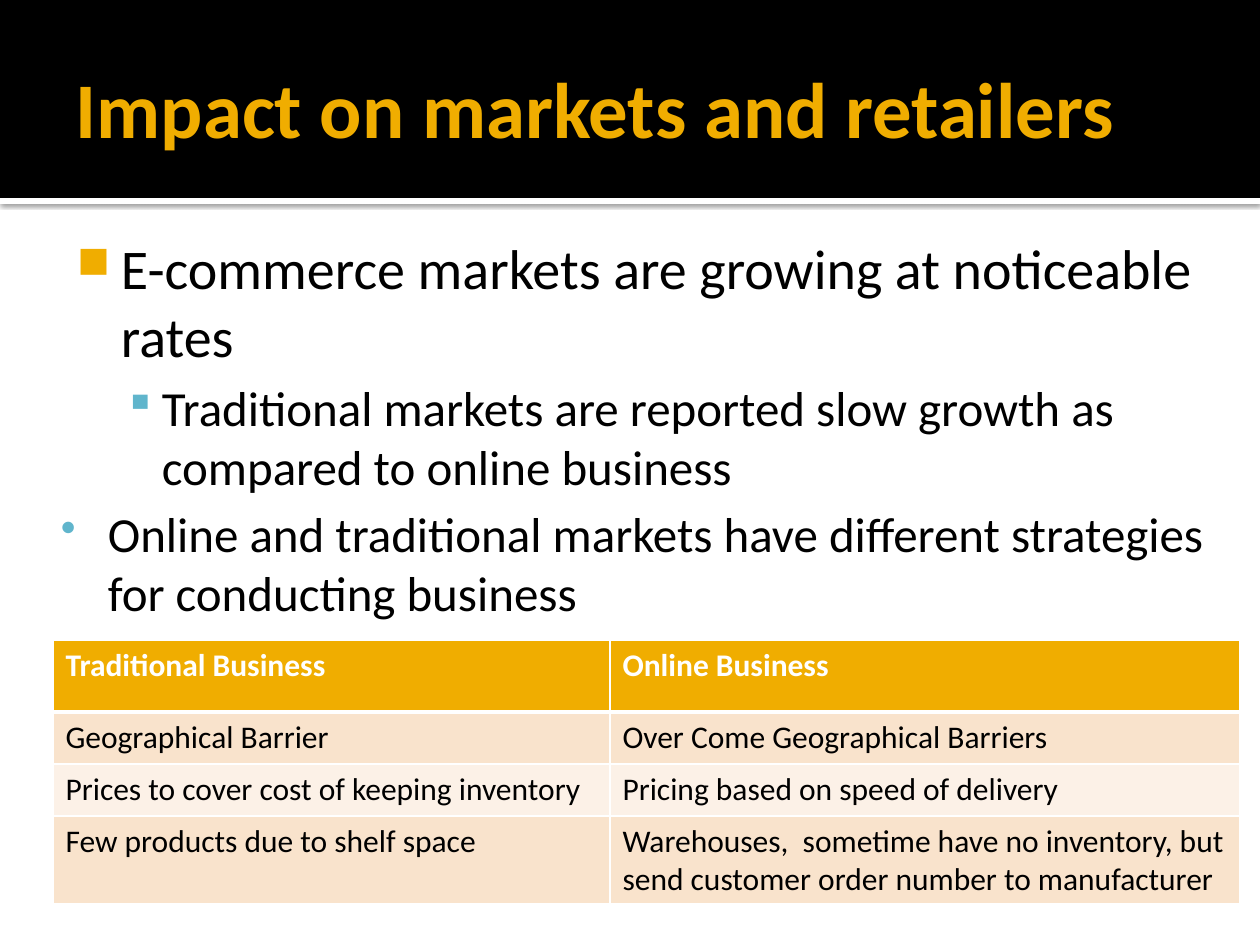
from dataclasses import dataclass
from typing import NamedTuple

from lxml import etree
from pptx import Presentation
from pptx.dml.color import RGBColor
from pptx.enum.shapes import MSO_SHAPE
from pptx.enum.text import MSO_ANCHOR
from pptx.oxml.ns import qn
from pptx.util import Emu, Pt

RECTANGLE = MSO_SHAPE.RECTANGLE
MIDDLE = MSO_ANCHOR.MIDDLE
TOP = MSO_ANCHOR.TOP
EMU_PER_PX = 914400 / 126
BLANK_LAYOUT = 6


@dataclass(frozen=True)
class Theme:
    font: str = "Calibri"
    black: str = "000000"
    white: str = "FFFFFF"
    gold: str = "F0AD00"
    blue: str = "60B5CC"
    band_dark: str = "F9E3CC"
    band_light: str = "FCF1E7"
    title_size: int = 45
    point_size: int = 32
    subpoint_size: int = 28
    table_size: int = 18


THEME = Theme()


class Box(NamedTuple):
    left: int
    top: int
    width: int
    height: int


class Insets(NamedTuple):
    left: int
    top: int
    right: int
    bottom: int


@dataclass(frozen=True)
class Bullet:
    character: str
    color: str
    percent: int
    margin: int
    hanging: int


@dataclass(frozen=True)
class Line:
    text: str
    size: int
    color: str = THEME.black
    bold: bool = False
    level: int = 0
    space_before: int = 0
    bullet: Bullet | None = None


SLIDE_BOX = Box(0, 0, 1260, 945)
BANNER_BOX = Box(0, 0, 1260, 198)
STRIP_BOX = Box(0, 198, 1260, 6)
TITLE_BOX = Box(63, 21, 1134, 173)
BODY_BOX = Box(53, 221, 1187, 624)
TABLE_BOX = Box(53, 640, 1187, 264)
TITLE_INSETS = Insets(13, 6, 6, 6)
BODY_INSETS = Insets(8, 13, 13, 6)

TITLE = Line("Impact on markets and retailers", THEME.title_size, THEME.gold, True)
BODY = [
    Line("E-commerce markets are growing at noticeable rates", THEME.point_size,
         bullet=Bullet("■", THEME.gold, 80, 60, 44)),
    Line("Traditional markets are reported slow growth as compared to online business",
         THEME.subpoint_size, level=1, space_before=5,
         bullet=Bullet("▪", THEME.blue, 90, 101, 38)),
    Line("Online and traditional markets have different strategies for conducting business",
         THEME.subpoint_size, level=1, space_before=5,
         bullet=Bullet("•", THEME.blue, 90, 47, 47)),
]
COLUMN_WIDTHS = [557, 630]
ROW_HEIGHTS = [72, 52, 52, 88]
ROWS = [
    ("Traditional Business", "Online Business"),
    ("Geographical Barrier", "Over Come Geographical Barriers"),
    ("Prices to cover cost of keeping inventory", "Pricing based on speed of delivery"),
    ("Few products due to shelf space",
     "Warehouses,  sometime have no inventory, but send customer order number to manufacturer"),
]


def px(length: int) -> Emu:
    return Emu(round(length * EMU_PER_PX))


def place(box: Box) -> list[Emu]:
    return [px(length) for length in box]


def add_element(parent, tag: str, **attributes):
    values = {name: str(value) for name, value in attributes.items()}
    return etree.SubElement(parent, qn(tag), values)


def set_all(target, values: dict) -> None:
    for name, value in values.items():
        setattr(target, name, value)


def add_bar(slide, box: Box, color: str):
    shape = slide.shapes.add_shape(RECTANGLE, *place(box))
    shape.shadow.inherit = False
    shape.fill.solid()
    shape.fill.fore_color.rgb = RGBColor.from_string(color)
    shape.line.fill.background()
    return shape


def add_drop_shadow(shape) -> None:
    effects = shape._element.spPr.find(qn("a:effectLst"))
    shadow = add_element(effects, "a:outerShdw", blurRad=Pt(2.5), dist=Pt(0.8),
                         dir=5400000, algn="t", rotWithShape=0)
    color = add_element(shadow, "a:srgbClr", val=THEME.black)
    add_element(color, "a:alpha", val=60000)


def add_bullet(paragraph, bullet: Bullet) -> None:
    properties = paragraph._p.get_or_add_pPr()
    properties.set("marL", str(px(bullet.margin)))
    properties.set("indent", str(px(-bullet.hanging)))
    color = add_element(properties, "a:buClr")
    add_element(color, "a:srgbClr", val=bullet.color)
    add_element(properties, "a:buSzPct", val=bullet.percent * 1000)
    add_element(properties, "a:buChar", char=bullet.character)


def write_line(paragraph, line: Line) -> None:
    paragraph.level = line.level
    if line.bullet:
        add_bullet(paragraph, line.bullet)
    paragraph.space_before = Pt(line.space_before)
    run = paragraph.add_run()
    run.text = line.text
    set_all(run.font, {"name": THEME.font, "size": Pt(line.size), "bold": line.bold})
    run.font.color.rgb = RGBColor.from_string(line.color)


def add_text(slide, box: Box, insets: Insets, anchor, lines: list[Line]) -> None:
    frame = slide.shapes.add_textbox(*place(box)).text_frame
    set_all(frame, {"word_wrap": True, "vertical_anchor": anchor})
    set_all(frame, {f"margin_{side}": px(inset) for side, inset in insets._asdict().items()})
    for index, line in enumerate(lines):
        write_line(frame.add_paragraph() if index else frame.paragraphs[0], line)


def add_borders(cell, top: int, bottom: int) -> None:
    properties = cell._tc.get_or_add_tcPr()
    widths = {"a:lnL": 1, "a:lnR": 1, "a:lnT": top, "a:lnB": bottom}
    for tag, width in widths.items():
        border = add_element(properties, tag, w=Pt(width))
        fill = add_element(border, "a:solidFill")
        add_element(fill, "a:srgbClr", val=THEME.white)


def add_comparison_table(slide) -> None:
    table = slide.shapes.add_table(len(ROWS), len(COLUMN_WIDTHS), *place(TABLE_BOX)).table
    for column, width in zip(table.columns, COLUMN_WIDTHS):
        column.width = px(width)
    for row_index, (row, height, texts) in enumerate(zip(table.rows, ROW_HEIGHTS, ROWS)):
        row.height = px(height)
        header = row_index == 0
        band = THEME.band_dark if row_index % 2 else THEME.band_light
        for cell, text in zip(row.cells, texts):
            add_borders(cell, 3 if row_index == 1 else 1, 3 if header else 1)
            cell.fill.solid()
            cell.fill.fore_color.rgb = RGBColor.from_string(THEME.gold if header else band)
            color = THEME.white if header else THEME.black
            write_line(cell.text_frame.paragraphs[0],
                       Line(text, THEME.table_size, color, header))


def main() -> None:
    presentation = Presentation()
    set_all(presentation, {"slide_width": px(SLIDE_BOX.width),
                           "slide_height": px(SLIDE_BOX.height)})
    slide = presentation.slides.add_slide(presentation.slide_layouts[BLANK_LAYOUT])
    add_drop_shadow(add_bar(slide, STRIP_BOX, THEME.white))
    add_bar(slide, BANNER_BOX, THEME.black)
    add_text(slide, TITLE_BOX, TITLE_INSETS, MIDDLE, [TITLE])
    add_text(slide, BODY_BOX, BODY_INSETS, TOP, BODY)
    add_comparison_table(slide)
    presentation.save("out.pptx")


if __name__ == "__main__":
    main()
